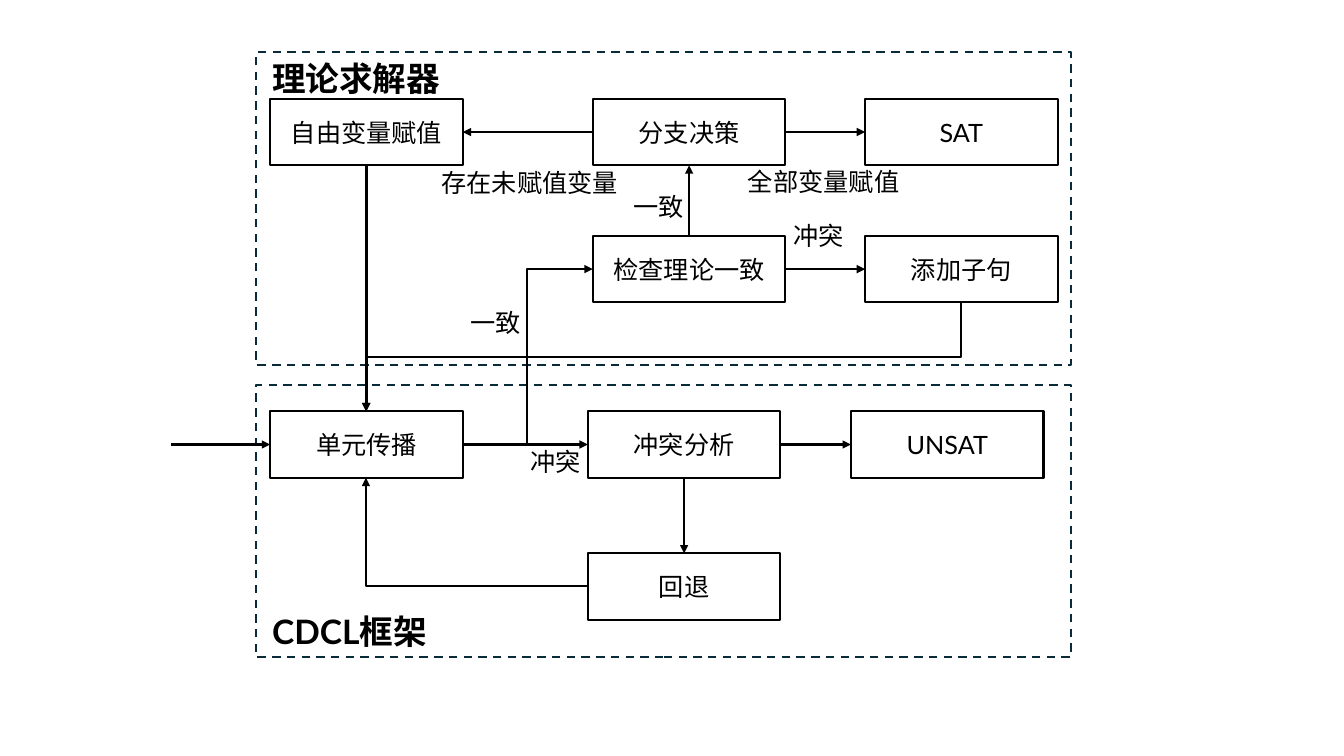
import math

import pptx
import pptx.dml.color
import pptx.enum.dml
import pptx.enum.shapes
import pptx.enum.text
import pptx.util
from lxml import etree
from pptx.oxml.ns import qn
from pptx.util import Inches

COLORS = {"ink": "000000", "box": "FFFFFF", "frame": "092A39"}
FONT = "Lato"
BOX_W, BOX_H = 1.91, 0.66
TOP, LEFT, BOTTOM, RIGHT = range(4)  # connection sites of a rectangle


def rgb(name):
    return pptx.dml.color.RGBColor.from_string(COLORS[name])


def add_run(p, text, size, bold=False):
    r = p.add_run()
    r.text = text
    r.font.name = FONT
    r.font.size = pptx.util.Pt(size)
    r.font.bold = bold
    r.font.color.rgb = rgb("ink")


def add_rect(s, x, y, w, h, line):
    sp = s.shapes.add_shape(pptx.enum.shapes.MSO_SHAPE.RECTANGLE,
                            Inches(x), Inches(y), Inches(w), Inches(h))
    sp.shadow.inherit = False
    sp.line.color.rgb = rgb(line)
    sp.line.width = pptx.util.Pt(1.5)
    return sp


def add_frame(s, y, h):
    sp = add_rect(s, 2.54, y, 8.08, h, "frame")
    sp.fill.background()
    sp.line.dash_style = pptx.enum.dml.MSO_LINE.DASH


def add_box(s, text, x, y):
    sp = add_rect(s, x, y, BOX_W, BOX_H, "box")
    sp.line.color.rgb = rgb("ink")
    sp.fill.solid()
    sp.fill.fore_color.rgb = rgb("box")
    tf = sp.text_frame
    tf.word_wrap = True
    tf.vertical_anchor = pptx.enum.text.MSO_ANCHOR.MIDDLE
    p = tf.paragraphs[0]
    p.alignment = pptx.enum.text.PP_ALIGN.CENTER
    add_run(p, text, 18)
    return sp


def add_label(s, text, x, y, w=1.78, h=0.4, size=18, bold=False):
    tf = s.shapes.add_textbox(Inches(x), Inches(y), Inches(w), Inches(h)).text_frame
    tf.word_wrap = True
    tf.auto_size = pptx.enum.text.MSO_AUTO_SIZE.SHAPE_TO_FIT_TEXT
    add_run(tf.paragraphs[0], text, size, bold)


def add_arrow(s, kind, start, end):
    c = s.shapes.add_connector(kind, *(Inches(v) for v in (*start, *end)))
    c.line.color.rgb = rgb("ink")
    c.line.width = pptx.util.Pt(1.5)
    etree.SubElement(c.line._get_or_add_ln(), qn("a:tailEnd"), type="triangle")
    etree.SubElement(c._element.spPr, qn("a:effectLst"))
    return c


def join(s, source, source_site, target, target_site):
    c = add_arrow(s, pptx.enum.shapes.MSO_CONNECTOR.STRAIGHT, (0, 0), (1, 1))
    c.begin_connect(source, source_site)
    c.end_connect(target, target_site)


def add_elbow(s, start, end, turn=0, preset="bentConnector3"):
    """Elbow arrow whose first leg points right, turned clockwise by degrees."""
    cx, cy = (start[0] + end[0]) / 2, (start[1] + end[1]) / 2
    dx, dy = (end[0] - start[0]) / 2, (end[1] - start[1]) / 2
    cos, sin = math.cos(math.radians(turn)), math.sin(math.radians(turn))
    ux, uy = dx * cos + dy * sin, dy * cos - dx * sin
    c = add_arrow(s, pptx.enum.shapes.MSO_CONNECTOR.ELBOW,
                  (cx - ux, cy - uy), (cx + ux, cy + uy))
    c._element.spPr.find(qn("a:prstGeom")).set("prst", preset)
    if turn:
        c._element.spPr.find(qn("a:xfrm")).set("rot", str(turn * 60000))


def main():
    prs = pptx.Presentation()
    prs.slide_width, prs.slide_height = Inches(13.33), Inches(7.5)
    s = prs.slides.add_slide(prs.slide_layouts[6])

    # Dashed frames with their headings
    for heading, y, h, heading_y in (("理论求解器", 0.52, 3.1, 0.53),
                                     ("CDCL框架", 3.82, 2.7, 6.01)):
        add_frame(s, y, h)
        add_label(s, heading, 2.6, heading_y, 2.25, 0.5, 24, True)

    # Theory solver boxes
    assign = add_box(s, "自由变量赋值", 2.68, 0.98)
    decide = add_box(s, "分支决策", 5.88, 0.98)
    sat = add_box(s, "SAT", 8.58, 0.98)
    check = add_box(s, "检查理论一致", 5.88, 2.34)
    clause = add_box(s, "添加子句", 8.58, 2.34)

    # CDCL boxes
    unit = add_box(s, "单元传播", 2.68, 4.08)
    conflict = add_box(s, "冲突分析", 5.83, 4.08)
    unsat = add_box(s, "UNSAT", 8.44, 4.08)
    back = add_box(s, "回退", 5.83, 5.49)

    # Straight arrows
    entry = add_arrow(s, pptx.enum.shapes.MSO_CONNECTOR.STRAIGHT, (1.7, 4.41), (2.68, 4.41))
    entry.end_connect(unit, LEFT)
    for link in ((decide, LEFT, assign, RIGHT), (decide, RIGHT, sat, LEFT),
                 (check, TOP, decide, BOTTOM), (check, RIGHT, clause, LEFT),
                 (assign, BOTTOM, unit, TOP), (unit, RIGHT, conflict, LEFT),
                 (conflict, RIGHT, unsat, LEFT), (conflict, BOTTOM, back, TOP)):
        join(s, *link)

    # Elbow arrows: clause to unit, unit to check, back to unit
    add_elbow(s, (9.53, 3), (3.63, 4.08), 90)
    add_elbow(s, (4.58, 4.41), (5.88, 2.67))
    add_elbow(s, (5.83, 5.81), (3.63, 4.74), 180, "bentConnector2")

    # Arrow labels
    add_label(s, "存在未赋值变量", 4.28, 1.61, 2.04)
    for text, x, y in (("全部变量赋值", 7.32, 1.6), ("一致", 6.18, 1.85),
                       ("冲突", 7.77, 2.14), ("一致", 4.57, 3), ("冲突", 5.16, 4.38)):
        add_label(s, text, x, y)

    prs.save("out.pptx")


if __name__ == "__main__":
    main()
